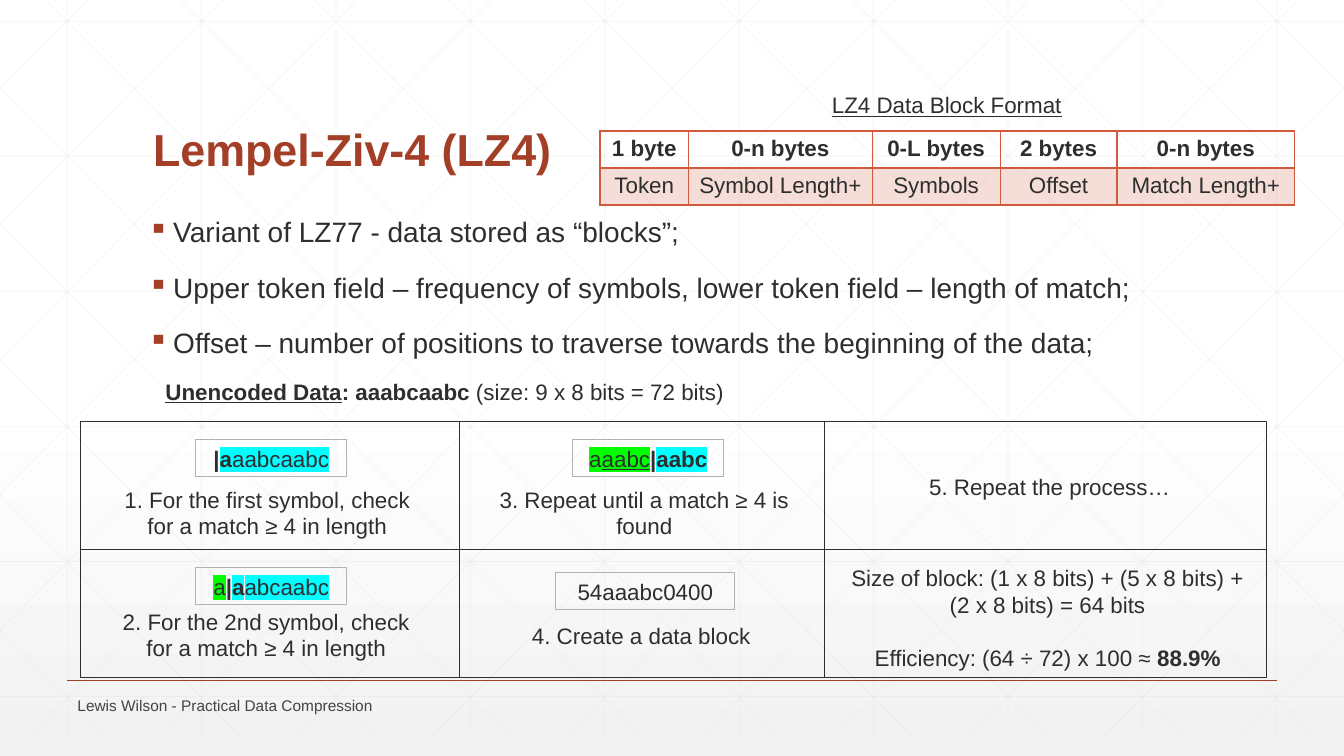
"""Build the Lempel-Ziv-4 slide of the data compression deck."""
import lxml.etree
import pptx
import pptx.dml.color
import pptx.enum.shapes
import pptx.enum.text
import pptx.oxml.ns
import pptx.util


class Theme:
    font = "Arial"
    ink, accent, footer = "2D2E2D", "A43F27", "424342"
    table, chip, mesh = "D15A3E", "B2B2B2", "D9D9D9"
    paper, shade = "FFFFFF", "F2F2F2"
    marker = {"c": "00FFFF", "g": "00FF00"}
    title_size, body_size, text_size, footer_size = 32, 20, 16, 11


qn = pptx.oxml.ns.qn
rgb = pptx.dml.color.RGBColor.from_string
align = pptx.enum.text.PP_ALIGN
anchors = pptx.enum.text.MSO_ANCHOR
add_element = lxml.etree.SubElement

deck = pptx.Presentation()
deck.slide_width, deck.slide_height = pptx.util.Inches(13.33), pptx.util.Inches(7.5)
page = deck.slides.add_slide(deck.slide_layouts[6])
CELL = deck.slide_height / 75
WIDE, HIGH = 133.3, 75


def write(frame, paragraphs, size=Theme.text_size, color=Theme.ink, alignment=align.CENTER,
          anchor=anchors.TOP, marks="", spacing=None, before=0, bullet=None):
    """Fill a frame; marks are b bold, u underline, c cyan and g green highlight."""
    frame.word_wrap = True
    frame.vertical_anchor = anchor
    for index, runs in enumerate(paragraphs):
        para = frame.add_paragraph() if index else frame.paragraphs[0]
        para.alignment = alignment
        para.line_spacing = spacing
        para.space_before = pptx.util.Pt(before if index else 0)
        for words, style in [(runs, marks)] if isinstance(runs, str) else runs:
            span = para.add_run()
            span.text = words
            span.font.name, span.font.size = Theme.font, pptx.util.Pt(size)
            span.font.color.rgb = rgb(color)
            span.font.bold, span.font.underline = "b" in style, "u" in style
            for key in set(style) & set(Theme.marker):
                highlight = lxml.etree.Element(qn("a:highlight"))
                add_element(highlight, qn("a:srgbClr"), val=Theme.marker[key])
                span.font._element.find(qn("a:solidFill")).addnext(highlight)
        if bullet:
            props = para._p.get_or_add_pPr()
            indent = pptx.util.Inches(0.25)
            props.set("marL", str(indent))
            props.set("indent", str(-indent))
            add_element(add_element(props, qn("a:buClr")), qn("a:srgbClr"), val=Theme.accent)
            add_element(props, qn("a:buChar"), char=bullet)


def draw_line(x1, y1, x2, y2, color, width, alpha=100):
    """Draw a straight line between two grid points."""
    ends = [round(value * CELL) for value in (x1, y1, x2, y2)]
    line = page.shapes.add_connector(pptx.enum.shapes.MSO_CONNECTOR.STRAIGHT, *ends)
    line.line.color.rgb = rgb(color)
    line.line.width = pptx.util.Pt(width)
    props = line._element.spPr
    add_element(props.find(".//" + qn("a:srgbClr")), qn("a:alpha"), val=str(alpha * 1000))
    add_element(props, qn("a:effectLst"))


backdrop = page.background.fill
backdrop.gradient()
backdrop.gradient_angle = 270
for stop, position, color in zip(backdrop.gradient_stops, (0.53, 1), (Theme.paper, Theme.shade)):
    stop.position, stop.color.rgb = position, rgb(color)

STEP = WIDE / 10
TOP, BOTTOM, LEAN = -2.1, 72.9, 74.5
mesh = [(STEP * (i + 0.5), TOP, STEP * (i + 0.5), BOTTOM) for i in range(10)]
mesh += [(0, 2.1 + 13.4 * i, WIDE, 2.1 + 13.4 * i) for i in range(6)]
for i in range(-5, 10):
    start = 2.5 + STEP * i
    left, right = max(0, start), min(WIDE, start + LEAN)
    upper, lower = [TOP + (x - start) * HIGH / LEAN for x in (left, right)]
    mesh += [(left, upper, right, lower), (WIDE - left, upper, WIDE - right, lower)]
for points in mesh:
    draw_line(*points, Theme.mesh, 0.5, alpha=25)
draw_line(WIDE * 0.05, 67.5, WIDE * 0.95, 67.5, Theme.accent, 1)

columns, rows = [8, 45.6, 81.8, 125.6], [41.8, 54.5, 67.2]
chips = [
    ((8, 41.8, 117.6, 25.4), Theme.ink, 1, None),
    ((19.4, 43.6, 15, 3.7), Theme.chip, 0.75, [("|", "b"), ("a", "bc"), ("aabcaabc", "c")]),
    ((19.4, 56.3, 15, 3.7), Theme.chip, 0.75,
     [("a", "g"), ("|", "b"), ("a", "bc"), ("abcaabc", "c")]),
    ((56.8, 43.6, 15, 3.7), Theme.chip, 0.75,
     [("a", "g"), ("aabc", "gu"), ("|", "b"), ("aabc", "bc")]),
    ((55.1, 56.8, 17.8, 3.7), Theme.chip, 0.75, "54aaabc0400"),
]
for area, color, width, words in chips:
    box = page.shapes.add_shape(pptx.enum.shapes.MSO_SHAPE.RECTANGLE,
                                *[round(value * CELL) for value in area])
    box.shadow.inherit = False
    box.fill.background()
    box.line.color.rgb, box.line.width = rgb(color), pptx.util.Pt(width)
    if words:
        write(box.text_frame, [words], anchor=anchors.MIDDLE)
for x in columns[1:-1]:
    draw_line(x, rows[0], x, rows[-1], Theme.ink, 0.5)
draw_line(columns[0], rows[1], columns[-1], rows[1], Theme.ink, 0.5)

texts = [
    ((14.2, 5.5, 105, 12.5), ["Lempel-Ziv-4 (LZ4)"],
     dict(size=Theme.title_size, color=Theme.accent, marks="b", alignment=align.LEFT,
          anchor=anchors.BOTTOM, spacing=0.9)),
    ((13.7, 21.2, 105, 15.3),
     ["Variant of LZ77 - data stored as “blocks”;",
      "Upper token field – frequency of symbols, lower token field – length of match;",
      "Offset – number of positions to traverse towards the beginning of the data;"],
     dict(size=Theme.body_size, alignment=align.LEFT, spacing=0.9, before=18, bullet="▪")),
    ((6.7, 68.8, 67, 2.4), ["Lewis Wilson - Practical Data Compression"],
     dict(size=Theme.footer_size, color=Theme.footer, alignment=align.LEFT,
          anchor=anchors.MIDDLE)),
    ((77.9, 8.6, 32, 3.7), ["LZ4 Data Block Format"], dict(marks="u")),
    ((12, 37, 64.2, 3.7),
     [[("Unencoded Data", "bu"), (": aaabcaabc ", "b"), ("(size: 9 x 8 bits = 72 bits)", "")]],
     dict(alignment=align.CENTER)),
    ((9.9, 47.7, 33.2, 6.4), ["1. For the first symbol, check for a match ≥ 4 in length"], {}),
    ((9.8, 59.8, 33.2, 6.4), ["2. For the 2nd symbol, check for a match ≥ 4 in length"], {}),
    ((47.3, 47.7, 33.2, 6.4), ["3. Repeat until a match ≥ 4 is found"], {}),
    ((47, 61.2, 33.2, 3.7), ["4. Create a data block"], {}),
    ((87.5, 46.4, 33.2, 3.7), ["5. Repeat the process…"], {}),
    ((82.7, 55.5, 42.4, 11.8),
     ["Size of block: (1 x 8 bits) + (5 x 8 bits) + (2 x 8 bits) = 64 bits",
      [("Efficiency: (64 ÷ 72) x 100 ≈ ", ""), ("88.9%", "b")]], dict(before=18.4)),
]
for area, paragraphs, style in texts:
    box = page.shapes.add_textbox(*[round(value * CELL) for value in area])
    write(box.text_frame, paragraphs, **style)

fields = [("1 byte", "Token", 8.8), ("0-n bytes", "Symbol Length+", 18.2),
          ("0-L bytes", "Symbols", 12.7), ("2 bytes", "Offset", 11.6),
          ("0-n bytes", "Match Length+", 17.6)]
area = (59.5, 13, sum(field[2] for field in fields), 7)
block = page.shapes.add_table(2, len(fields), *[round(value * CELL) for value in area]).table
block.first_row = block.horz_banding = False
for column, (*labels, width) in enumerate(fields):
    block.columns[column].width = round(width * CELL)
    for row, label in enumerate(labels):
        cell = block.cell(row, column)
        write(cell.text_frame, [label], marks="" if row else "b")
        props = cell._tc.get_or_add_tcPr()
        for side in ("a:lnL", "a:lnR", "a:lnT", "a:lnB"):
            edge = add_element(props, qn(side), w=str(pptx.util.Pt(1)))
            add_element(add_element(edge, qn("a:solidFill")), qn("a:srgbClr"), val=Theme.table)
        if row:
            tint = add_element(add_element(props, qn("a:solidFill")), qn("a:srgbClr"),
                               val=Theme.table)
            add_element(tint, qn("a:alpha"), val="20000")
        else:
            cell.fill.background()

deck.save("out.pptx")
